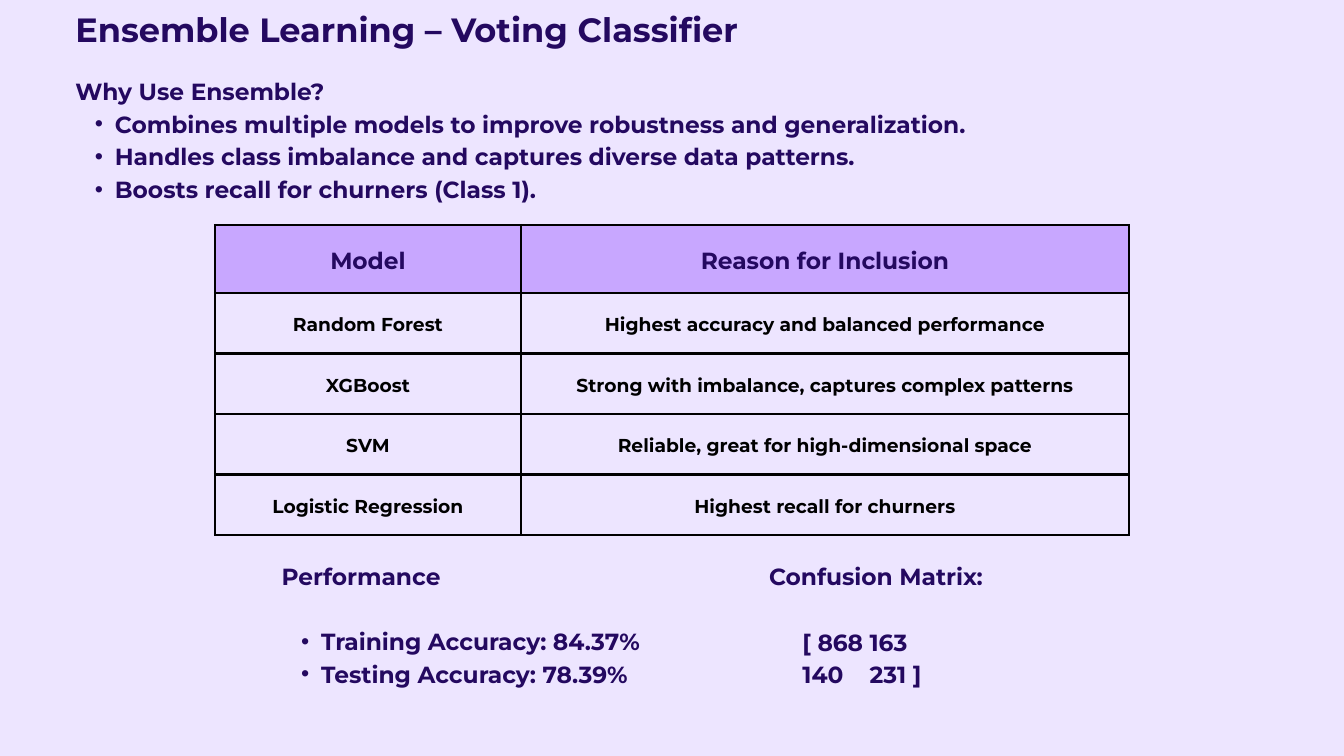
from dataclasses import dataclass

from lxml import etree
from pptx import Presentation
from pptx import util as u
from pptx.dml.color import RGBColor
from pptx.enum import text
from pptx.oxml import ns


@dataclass(frozen=True)
class Theme:
    font: str = "Montserrat"
    paper: str = "EDE5FF"
    header: str = "C8A7FF"
    ink: str = "240960"
    black: str = "000000"
    title: float = 36
    body: float = 25
    cell: float = 20
    title_leading: float = 28.8
    body_leading: float = 35
    cell_leading: float = 28
    border: float = 3


THEME = Theme()
LEFT, CENTER = text.PP_ALIGN.LEFT, text.PP_ALIGN.CENTER

TITLE = "Ensemble Learning – Voting Classifier"
REASONS_HEADING = "Why Use Ensemble?"
REASONS = [
    "Combines multiple models to improve robustness and generalization.",
    "Handles class imbalance and captures diverse data patterns.",
    "Boosts recall for churners (Class 1).",
]
MODELS = [
    ("Model", "Reason for Inclusion"),
    ("Random Forest", "Highest accuracy and balanced performance"),
    ("XGBoost", "Strong with imbalance, captures complex patterns"),
    ("SVM", "Reliable, great for high-dimensional space"),
    ("Logistic Regression", "Highest recall for churners"),
]
PERFORMANCE_HEADING = "Performance"
PERFORMANCE = ["Training Accuracy: 84.37%", "Testing Accuracy: 78.39%"]
MATRIX_HEADING = "Confusion Matrix:"
MATRIX = [("\t[ 868\t163", (0.72, 1.91)), ("\t140\t231 ]", (0.89, 1.91))]

TITLE_AREA = (1.12, 0.33, 10.02, 0.44)
REASONS_AREA = (1.12, 1.08, 15.45, 1.89)
TABLE_AREA = (3.2, 3.35, 13.6, 4.61)
PERFORMANCE_AREA = (4.19, 8.29, 5.36, 1.9)
MATRIX_AREA = (11.44, 8.3, 3.19, 1.89)
COLUMNS = (4.55, 9.05)
HEADER_HEIGHT, ROW_HEIGHT = 1.01, 0.9
CELL_INSET = 0.21
BULLET_INDENT, BULLET_HANG = 0.59, 0.3


def inches(values):
    return [u.Inches(value) for value in values]


def add_element(parent, tag, **attributes):
    return etree.SubElement(parent, ns.qn(tag), {key: str(value) for key, value in attributes.items()})


def write(frame, words, size=THEME.body, leading=THEME.body_leading, color=THEME.ink,
          align=LEFT, bullet=False, before=0, tabs=()):
    para = frame.add_paragraph() if frame.text else frame.paragraphs[0]
    properties = para._p.get_or_add_pPr()
    indent = BULLET_INDENT if bullet else 0
    hang = BULLET_HANG if bullet else 0
    properties.set("marL", str(u.Inches(indent)))
    properties.set("indent", str(-u.Inches(hang)))
    if bullet:
        para.level = 1
        add_element(properties, "a:buFont", typeface="Arial")
        add_element(properties, "a:buChar", char="•")
    else:
        add_element(properties, "a:buNone")
    if tabs:
        stops = add_element(properties, "a:tabLst")
        for stop in tabs:
            add_element(stops, "a:tab", pos=u.Inches(stop), algn="l")
    para.alignment = align
    para.line_spacing = u.Pt(leading)
    para.space_before, para.space_after = u.Pt(before), u.Pt(0)
    span = para.add_run()
    span.text = words
    span.font.name, span.font.size, span.font.bold = THEME.font, u.Pt(size), True
    span.font.color.rgb = RGBColor.from_string(color)


def prepare(box, area):
    box.left, box.top, box.width, box.height = inches(area)
    frame = box.text_frame
    frame.word_wrap = True
    frame.auto_size = text.MSO_AUTO_SIZE.NONE
    frame.vertical_anchor = text.MSO_ANCHOR.TOP
    frame.margin_left = frame.margin_right = frame.margin_top = frame.margin_bottom = 0
    return frame


def write_list(frame, heading, items, gap=0):
    write(frame, heading)
    for index, item in enumerate(items):
        write(frame, item, bullet=True, before=0 if index else gap)


def border_cell(cell):
    properties = cell._tc.get_or_add_tcPr()
    for side in ("a:lnL", "a:lnR", "a:lnT", "a:lnB"):
        line = add_element(properties, side, w=u.Pt(THEME.border))
        add_element(add_element(line, "a:solidFill"), "a:srgbClr", val=THEME.black)


def add_models(page):
    table = page.shapes.add_table(len(MODELS), len(COLUMNS), *inches(TABLE_AREA)).table
    table.horz_banding = False
    for column, width in zip(table.columns, COLUMNS):
        column.width = u.Inches(width)
    for row_index, (row, entries) in enumerate(zip(table.rows, MODELS)):
        is_header = row_index == 0
        row.height = u.Inches(HEADER_HEIGHT if is_header else ROW_HEIGHT)
        for cell, words in zip(row.cells, entries):
            cell.margin_left = cell.margin_right = u.Inches(CELL_INSET)
            cell.margin_top = cell.margin_bottom = u.Inches(CELL_INSET)
            cell.vertical_anchor = text.MSO_ANCHOR.MIDDLE
            border_cell(cell)
            if is_header:
                cell.fill.solid()
                cell.fill.fore_color.rgb = RGBColor.from_string(THEME.header)
                write(cell.text_frame, words, align=CENTER)
            else:
                cell.fill.background()
                write(cell.text_frame, words, size=THEME.cell, leading=THEME.cell_leading,
                      color=THEME.black, align=CENTER)


def main():
    deck = Presentation()
    deck.slide_width, deck.slide_height = inches((20, 11.25))
    page = deck.slides.add_slide(deck.slide_layouts.get_by_name("Two Content"))
    page.background.fill.solid()
    page.background.fill.fore_color.rgb = RGBColor.from_string(THEME.paper)

    title, reasons, performance = page.placeholders
    write(prepare(title, TITLE_AREA), TITLE, size=THEME.title, leading=THEME.title_leading)
    write_list(prepare(reasons, REASONS_AREA), REASONS_HEADING, REASONS)
    add_models(page)
    write_list(prepare(performance, PERFORMANCE_AREA), PERFORMANCE_HEADING, PERFORMANCE,
               gap=THEME.body_leading)

    matrix = prepare(page.shapes.add_textbox(*inches(MATRIX_AREA)), MATRIX_AREA)
    write(matrix, MATRIX_HEADING, align=CENTER)
    for index, (words, tabs) in enumerate(MATRIX):
        write(matrix, words, tabs=tabs, before=0 if index else THEME.body_leading)

    deck.save("out.pptx")


if __name__ == "__main__":
    main()
